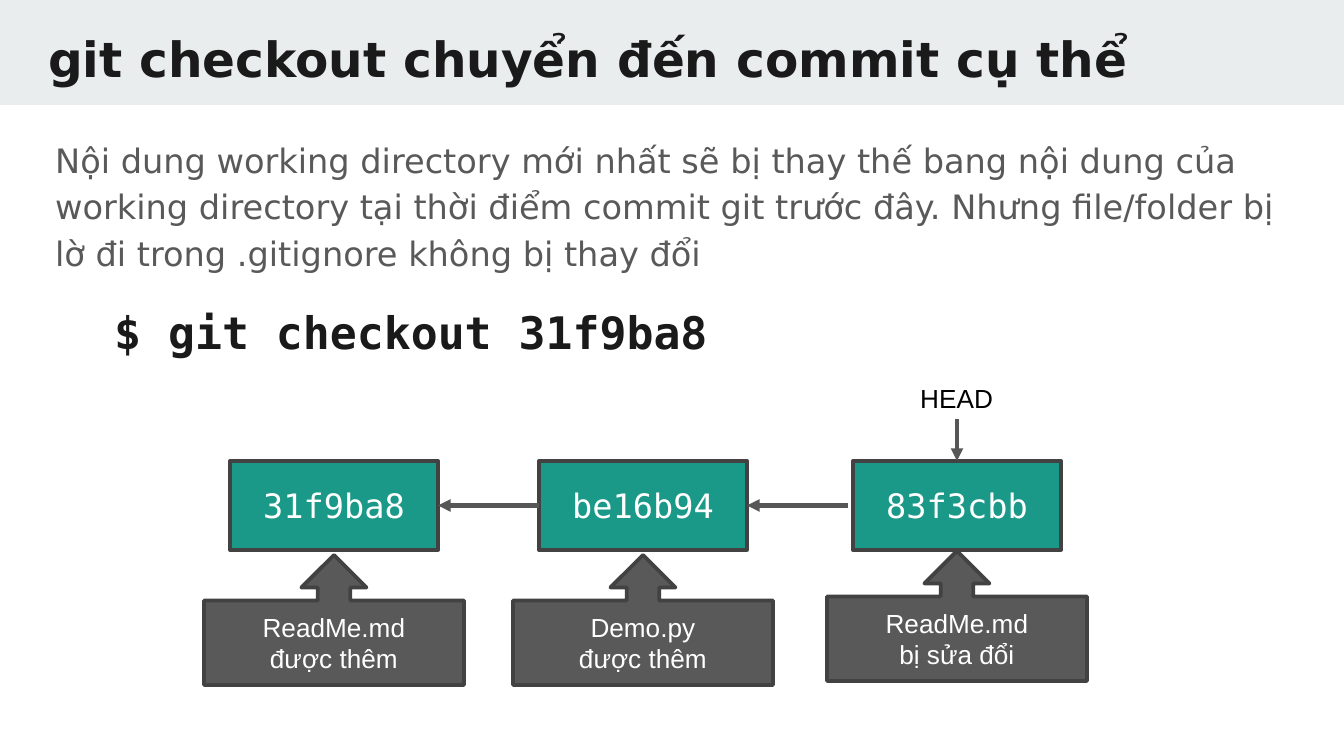
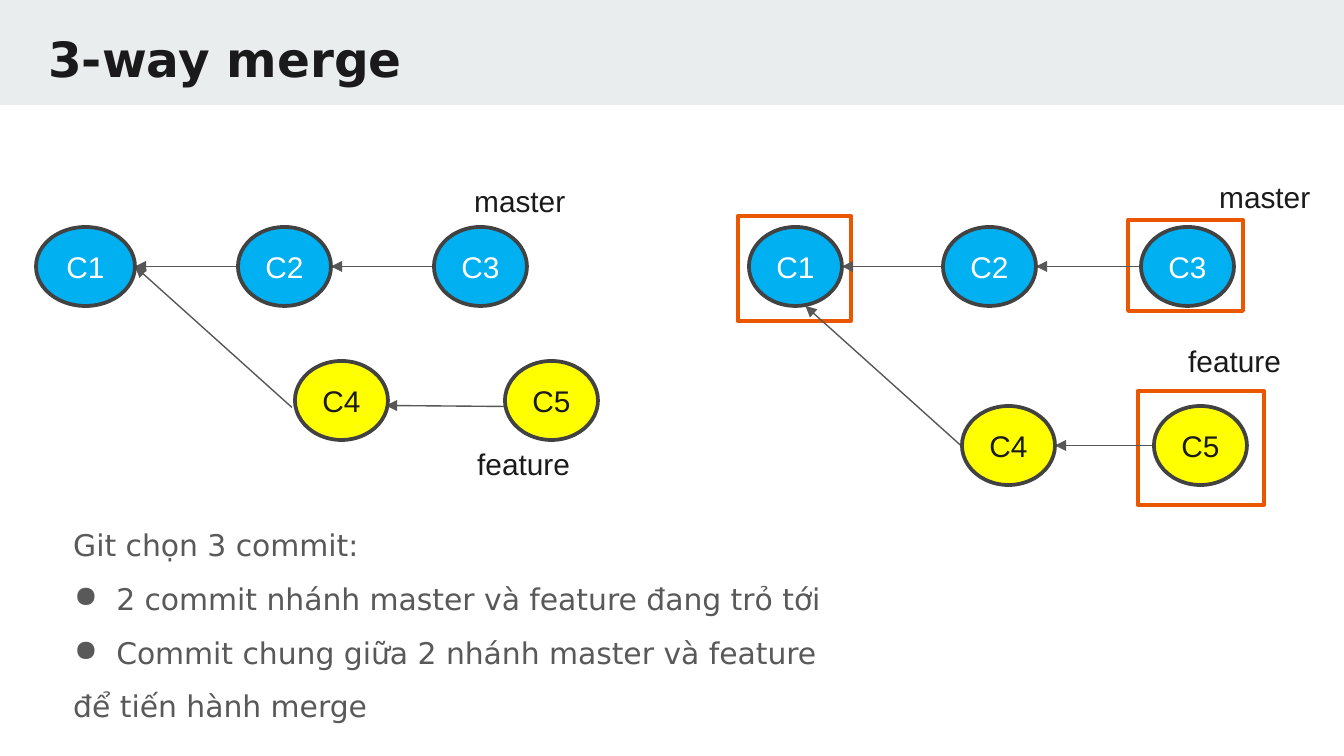
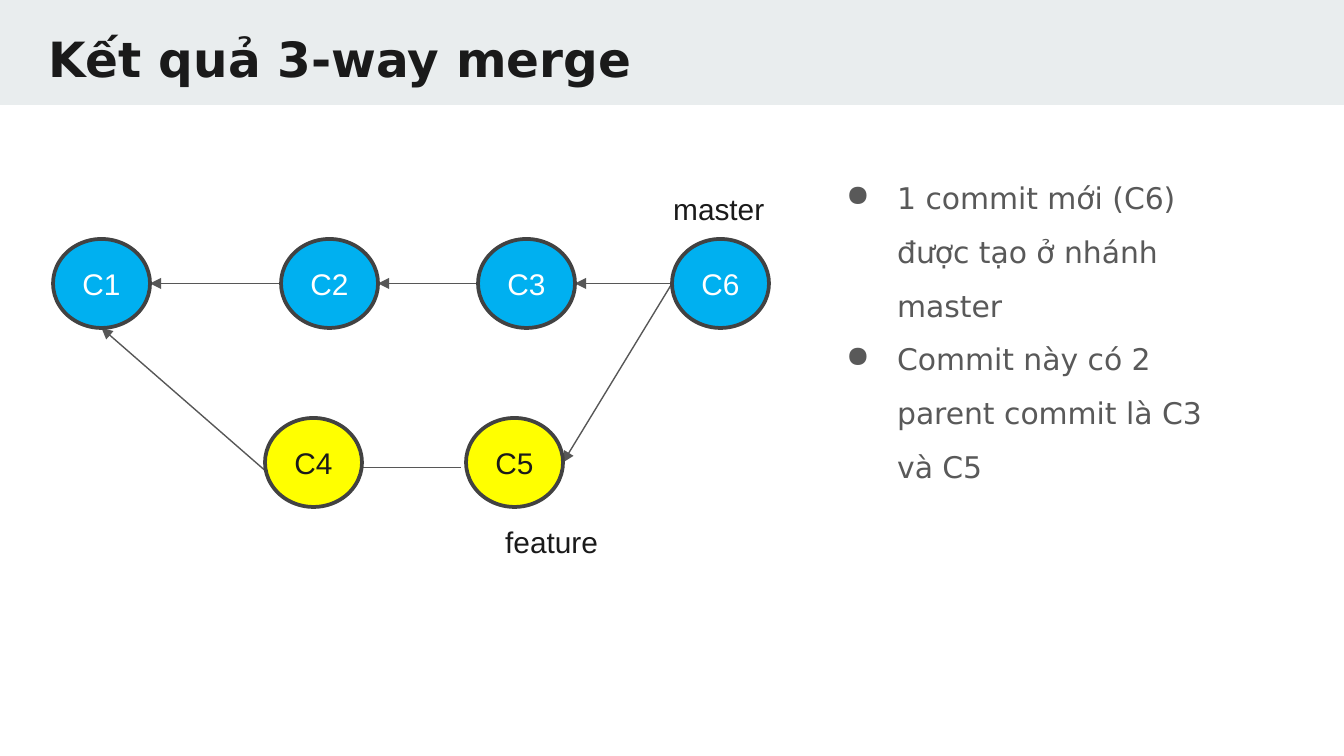
from lxml import etree
from pptx import Presentation
from pptx.dml.color import RGBColor
from pptx.enum.shapes import MSO_CONNECTOR, MSO_SHAPE
from pptx.enum.text import MSO_ANCHOR, PP_ALIGN
from pptx.oxml.ns import qn
from pptx.util import Emu, Pt

RECT = MSO_SHAPE.RECTANGLE
ELLIPSE = MSO_SHAPE.OVAL
CALLOUT = MSO_SHAPE.UP_ARROW_CALLOUT
STRAIGHT = MSO_CONNECTOR.STRAIGHT
MIDDLE = MSO_ANCHOR.MIDDLE
CENTER = PP_ALIGN.CENTER

WHITE = RGBColor(0xFF, 0xFF, 0xFF)
BLACK = RGBColor(0x00, 0x00, 0x00)
INK = RGBColor(0x1A, 0x1A, 0x1A)
GRAY = RGBColor(0x59, 0x59, 0x59)
ARROW_GRAY = RGBColor(0x57, 0x57, 0x57)
OUTLINE = RGBColor(0x42, 0x42, 0x42)
BAND = RGBColor(0xE9, 0xED, 0xEE)
TEAL = RGBColor(0x1A, 0x99, 0x88)
BLUE = RGBColor(0x00, 0xB0, 0xF0)
YELLOW = RGBColor(0xFF, 0xFF, 0x00)
ORANGE = RGBColor(0xEB, 0x56, 0x00)

SANS, BODY, MONO = "Arial", "DejaVu Sans", "DejaVu Sans Mono"
SLIDE_W, SLIDE_H = 1344, 756
FEATURE_COMMITS = ("C4", "C5")
RIGHT, BOTTOM = "right", "bottom"


def px(length):
    return Emu(round(length * 914400 / 134.4))


def set_font(paragraph, face, size, color, bold=False):
    font = paragraph.font
    font.name, font.size, font.bold = face, Pt(size), bold
    font.color.rgb = color


def add_box(slide, kind, box, fill, outline=None, text="", font=None):
    shape = slide.shapes.add_shape(kind, *map(px, box))
    shape.shadow.inherit = False
    shape.fill.solid()
    shape.fill.fore_color.rgb = fill
    if outline is None:
        shape.line.fill.background()
    else:
        shape.line.color.rgb = outline
        shape.line.width = Pt(2)
    if text:
        shape.text_frame.vertical_anchor = MIDDLE
        paragraph = shape.text_frame.paragraphs[0]
        paragraph.text = text
        paragraph.alignment = CENTER
        set_font(paragraph, *font)


def add_text(slide, box, items, font, spacing=None, inset=13, wrap=True):
    """Each item is (text, left margin, hanging indent); a hanging item has a bullet."""
    frame = slide.shapes.add_textbox(*map(px, box)).text_frame
    frame.word_wrap = wrap
    frame.margin_top = frame.margin_bottom = px(inset)
    for index, (text, margin, hanging) in enumerate(items):
        paragraph = frame.add_paragraph() if index else frame.paragraphs[0]
        paragraph.text = text
        properties = paragraph._p.get_or_add_pPr()
        properties.set("marL", str(px(margin)))
        properties.set("indent", str(-px(hanging)))
        if hanging:
            color = etree.SubElement(properties, qn("a:buClr"))
            etree.SubElement(color, qn("a:srgbClr"), val=str(GRAY))
            etree.SubElement(properties, qn("a:buChar"), char="●")
        if spacing:
            paragraph.line_spacing = spacing
        set_font(paragraph, *font)


def add_label(slide, box, text, font, margin=0, wrap=True):
    add_text(slide, box, [(text, margin, 0)], font, inset=7, wrap=wrap)


def add_arrow(slide, start, end, width):
    arrow = slide.shapes.add_connector(STRAIGHT, *map(px, (*start, *end)))
    arrow.line.color.rgb = ARROW_GRAY
    arrow.line.width = Pt(width)
    etree.SubElement(arrow.line._get_or_add_ln(), qn("a:tailEnd"), type="triangle")
    etree.SubElement(arrow._element.spPr, qn("a:effectLst"))


def add_titled_slide(deck, title):
    slide = deck.slides.add_slide(deck.slide_layouts[6])
    add_box(slide, RECT, (0, 0, SLIDE_W, 105), BAND)
    add_text(slide, (35, 16, 1279, 79), [(title, 0, 0)], (BODY, 26, INK, True))
    return slide


def add_history(slide, left, top):
    """Row of commits, each with a callout below that tells what changed."""
    width, height = 208, 89
    callout_width, callout_height = 260, 130
    middle = top + height / 2
    commits = [
        (0, "31f9ba8", "ReadMe.md\nđược thêm", 94),
        (309, "be16b94", "Demo.py\nđược thêm", 94),
        (623, "83f3cbb", "ReadMe.md\nbị sửa đổi", 90),
    ]
    for x, commit, change, drop in commits:
        add_box(slide, RECT, (left + x, top, width, height), TEAL, OUTLINE,
                commit, (MONO, 18, WHITE))
        add_box(slide, CALLOUT,
                (left + x - (callout_width - width) / 2, top + drop,
                 callout_width, callout_height),
                GRAY, OUTLINE, change, (SANS, 14, WHITE))
    # Arrows from each commit to its parent
    for parent_x in (0, 309):
        parent_edge = left + parent_x + width
        add_arrow(slide, (parent_edge + 101, middle), (parent_edge, middle), 2.25)
    # HEAD pointer
    head_x = left + commits[-1][0] + width / 2
    add_label(slide, (head_x - 50, top - 86, 101, 46), "HEAD", (SANS, 14, BLACK), wrap=False)
    add_arrow(slide, (head_x, top - 42), (head_x, top), 2.25)


def add_graph(slide, left, top, size, commits, arrows, branches, frames=()):
    """Commit circles at (x, y, extra width); arrows run from child to parent."""
    width, height = size

    # Frames around the commits that take part in the merge
    for x, y, frame_width, frame_height in frames:
        add_box(slide, RECT, (left + x, top + y, frame_width, frame_height), WHITE, ORANGE)

    # Arrows, with small shifts of their start and end
    for child, parent, side, start_shift, end_shift in arrows:
        child_x, child_y, _ = commits[child]
        parent_x, parent_y, extra = commits[parent]
        parent_width = width + extra
        end_x, end_y = {RIGHT: (parent_width, height / 2),
                        BOTTOM: (parent_width / 2, height)}[side]
        start = (left + child_x + start_shift[0],
                 top + child_y + height / 2 + start_shift[1])
        end = (left + parent_x + end_x + end_shift[0],
               top + parent_y + end_y + end_shift[1])
        add_arrow(slide, start, end, 0.75)

    # Commits
    for commit, (x, y, extra) in commits.items():
        fill, ink = (YELLOW, INK) if commit in FEATURE_COMMITS else (BLUE, WHITE)
        add_box(slide, ELLIPSE, (left + x, top + y, width + extra, height), fill, OUTLINE,
                commit, (SANS, 16, ink))

    # Branch names
    for branch, x, y in branches:
        add_label(slide, (left + x, top + y, 135, 50), branch, (SANS, 16, INK))


def link(child, parent, side=RIGHT, start=(0, 0), end=(0, 0)):
    return child, parent, side, start, end


def build_checkout(deck):
    slide = add_titled_slide(deck, "git checkout chuyển đến commit cụ thể")
    explanation = (
        "Nội dung working directory mới nhất sẽ bị thay thế bang nội dung của "
        "working directory tại thời điểm commit git trước đây. Nhưng file/folder "
        "bị lờ đi trong .gitignore không bị thay đổi")
    add_text(slide, (26, 121, 1266, 165), [(explanation, 16, 0)], (BODY, 18, GRAY), 1.15)
    add_label(slide, (85, 298, 640, 67), "$ git checkout 31f9ba8",
              (MONO, 24, INK, True), margin=16, wrap=False)
    add_history(slide, 230, 461)


def build_merge(deck):
    slide = add_titled_slide(deck, "3-way merge")
    main_links = [link("C2", "C1"), link("C3", "C2")]
    # Branches before the merge
    add_graph(
        slide, 36, 227, (93, 79),
        {"C1": (0, 0, 6), "C2": (202, 0, 0), "C3": (398, 0, 0),
         "C4": (259, 134, 0), "C5": (469, 134, 0)},
        main_links + [link("C4", "C1", start=(-3, 7)),
                      link("C5", "C4", start=(0, 6), end=(-2, 5))],
        [("master", 425, -51), ("feature", 428, 212)])
    # The three commits chosen for the merge
    add_graph(
        slide, 749, 227, (93, 79),
        {"C1": (0, 0, 0), "C2": (194, 0, 0), "C3": (392, 0, 0),
         "C4": (213, 179, 0), "C5": (405, 179, 0)},
        main_links + [link("C4", "C1", BOTTOM, start=(0, 1), end=(10, 0)),
                      link("C5", "C4")],
        [("master", 457, -55), ("feature", 426, 109)],
        [(-11, -11, 113, 105), (379, -7, 115, 91), (389, 164, 126, 114)])
    add_text(slide, (44, 496, 978, 237), [
        ("Git chọn 3 commit:", 16, 0),
        ("2 commit nhánh master và feature đang trỏ tới", 59, 42),
        ("Commit chung giữa 2 nhánh master và feature", 59, 42),
        ("để tiến hành merge", 16, 0),
    ], (BODY, 16, GRAY), 1.5)


def build_result(deck):
    slide = add_titled_slide(deck, "Kết quả 3-way merge")
    add_graph(
        slide, 53, 239, (97, 89),
        {"C1": (0, 0, 0), "C2": (228, 0, 0), "C3": (425, 0, 0), "C6": (619, 0, 0),
         "C4": (212, 179, 0), "C5": (413, 179, 0)},
        [link("C2", "C1"), link("C3", "C2"), link("C6", "C3"), link("C6", "C5"),
         link("C4", "C1", BOTTOM, start=(0, 8)),
         link("C5", "C4", start=(-5, 5), end=(-13, 5))],
        [("master", 607, -55), ("feature", 439, 278)])
    add_text(slide, (817, 149, 441, 575), [
        ("1 commit mới (C6) được tạo ở nhánh master", 67, 51),
        ("Commit này có 2 parent commit là C3 và C5", 67, 51),
    ], (BODY, 16, GRAY), 1.5)


def main():
    deck = Presentation()
    deck.slide_width, deck.slide_height = px(SLIDE_W), px(SLIDE_H)
    build_checkout(deck)
    build_merge(deck)
    build_result(deck)
    deck.save("out.pptx")


if __name__ == "__main__":
    main()
